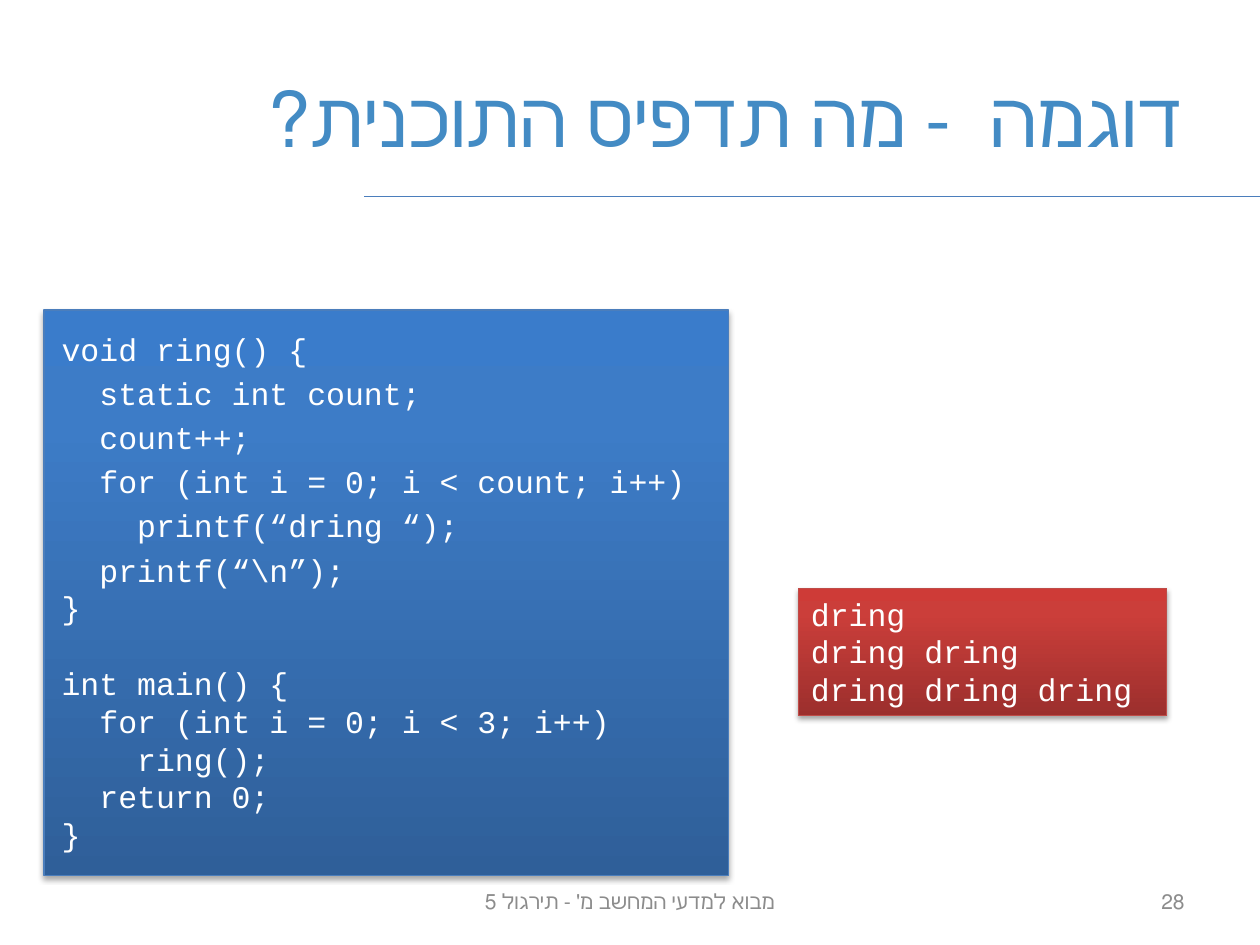
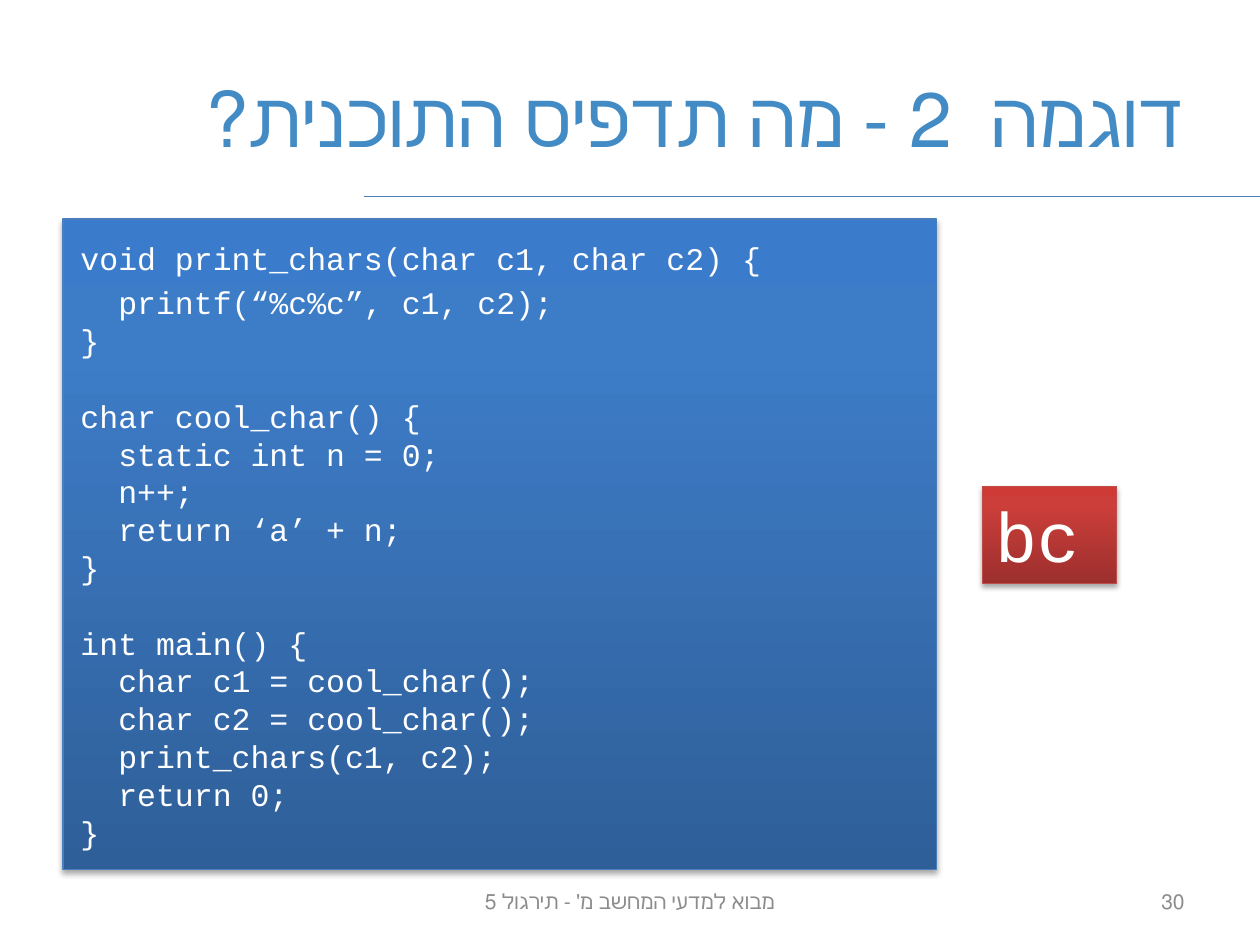
from dataclasses import dataclass

from lxml import etree
from pptx import Presentation
from pptx.dml.color import RGBColor
from pptx.enum.shapes import MSO_CONNECTOR, MSO_SHAPE
from pptx.enum.text import MSO_ANCHOR, MSO_AUTO_SIZE, PP_ALIGN
from pptx.oxml import parse_xml
from pptx.oxml.ns import nsdecls, qn
from pptx.slide import Slide
from pptx.text.text import TextFrame
from pptx.util import Pt

TITLE_COLOR = "438BC4"
FOOTER_COLOR = "8C8C8C"
RULE_COLOR = "4B7EBC"
TEXT_COLOR = "FFFFFF"
CODE_FONT = "Courier New"
CODE_SIZE = 18
INDENT_PER_SPACE = 0.6 * CODE_SIZE
LINE_GAP = 0.2 * CODE_SIZE
BLOCK_GAP = 1.2 * CODE_SIZE
FOOTER = "מבוא למדעי המחשב מ' - תירגול 5"


@dataclass(frozen=True)
class Box:
    left: float
    top: float
    width: float
    height: float

    def lengths(self) -> tuple[Pt, ...]:
        return Pt(self.left), Pt(self.top), Pt(self.width), Pt(self.height)


@dataclass(frozen=True)
class PanelStyle:
    bottom: str
    middle: str
    top: str
    outline: str


@dataclass(frozen=True)
class HebrewStyle:
    box: Box
    font: str
    size: float
    color: str
    alignment: PP_ALIGN


@dataclass(frozen=True)
class Example:
    title: str
    number: int
    code: str
    code_box: Box
    output: str
    output_box: Box
    output_size: float


CODE_PANEL = PanelStyle("2F5F99", "3D7CC7", "3A7CCB", RULE_COLOR)
OUTPUT_PANEL = PanelStyle("9C2F2D", "CB3E3A", "CE3B37", "BF4C48")
TITLE_STYLE = HebrewStyle(Box(36, 21.6, 648, 90), "Arial", 44, TITLE_COLOR, PP_ALIGN.RIGHT)
FOOTER_STYLE = HebrewStyle(Box(246, 500.5, 228, 28.75), "Calibri", 12, FOOTER_COLOR, PP_ALIGN.CENTER)
NUMBER_STYLE = HebrewStyle(Box(516, 500.5, 168, 28.75), "Calibri", 12, FOOTER_COLOR, PP_ALIGN.RIGHT)

RING_CODE = r"""void ring() {
  static int count;
  count++;
  for (int i = 0; i < count; i++)
    printf(“dring “);
  printf(“\n”);
}

int main() {
  for (int i = 0; i < 3; i++)
    ring();
  return 0;
}"""

CHARS_CODE = """void print_chars(char c1, char c2) {
  printf(“%c%c”, c1, c2);
}

char cool_char() {
  static int n = 0;
  n++;
  return ‘a’ + n;
}

int main() {
  char c1 = cool_char();
  char c2 = cool_char();
  print_chars(c1, c2);
  return 0;
}"""

EXAMPLES = [
    Example(
        "דוגמה  - מה תדפיס התוכנית?", 28,
        RING_CODE, Box(25.2, 177.1, 391, 323.3),
        "dring\ndring dring\ndring dring dring", Box(456.3, 336.2, 210.5, 72.7), 18,
    ),
    Example(
        "דוגמה  2 - מה תדפיס התוכנית?", 30,
        CHARS_CODE, Box(36, 125.2, 499, 371.5),
        "bc", Box(561.6, 277.9, 76.5, 55.7), 40,
    ),
]


def rgb(color: str) -> RGBColor:
    return RGBColor.from_string(color)


def add_hebrew(slide: Slide, text: str, style: HebrewStyle) -> None:
    """Add one right-to-left paragraph, centred vertically in its box."""
    frame = slide.shapes.add_textbox(*style.box.lengths()).text_frame
    frame.word_wrap = True
    frame.vertical_anchor = MSO_ANCHOR.MIDDLE
    paragraph = frame.paragraphs[0]
    paragraph.text = text
    paragraph.alignment = style.alignment
    paragraph._p.get_or_add_pPr().set("rtl", "1")
    paragraph.font.name = style.font
    paragraph.font.size = Pt(style.size)
    paragraph.font.color.rgb = rgb(style.color)


def add_title_rule(slide: Slide) -> None:
    rule = slide.shapes.add_connector(
        MSO_CONNECTOR.STRAIGHT, Pt(720), Pt(112.3), Pt(208), Pt(112.3))
    rule.line.color.rgb = rgb(RULE_COLOR)
    rule.line.width = Pt(0.75)
    etree.SubElement(rule._element.spPr, qn("a:effectLst"))


def add_panel(slide: Slide, box: Box, style: PanelStyle) -> TextFrame:
    """Add a rectangle with a vertical gradient and a soft shadow; return its text frame."""
    shape = slide.shapes.add_shape(MSO_SHAPE.RECTANGLE, *box.lengths())
    stops = "".join(
        f'<a:gs pos="{position * 1000}"><a:srgbClr val="{color}"/></a:gs>'
        for position, color in ((0, style.bottom), (80, style.middle), (100, style.top)))
    properties = shape._element.spPr
    properties.find(qn("a:prstGeom")).addnext(parse_xml(
        f'<a:gradFill {nsdecls("a")} rotWithShape="1"><a:gsLst>{stops}</a:gsLst>'
        '<a:lin ang="16200000" scaled="0"/></a:gradFill>'))
    shape.line.color.rgb = rgb(style.outline)
    shape.line.width = Pt(0.75)
    shape.shadow.inherit = False
    properties.find(qn("a:effectLst")).append(parse_xml(
        f'<a:outerShdw {nsdecls("a")} blurRad="{Pt(3.1)}" dist="{Pt(1.8)}" dir="5400000"'
        ' rotWithShape="0"><a:srgbClr val="000000"><a:alpha val="35000"/></a:srgbClr>'
        '</a:outerShdw>'))
    frame = shape.text_frame
    frame.word_wrap = True
    frame.vertical_anchor = MSO_ANCHOR.TOP
    frame.auto_size = MSO_AUTO_SIZE.SHAPE_TO_FIT_TEXT
    return frame


def write_lines(frame: TextFrame, text: str, size: float) -> None:
    """Write monospaced lines, turning leading spaces into indents and blank lines into gaps.

    The indented lines of the first block are set slightly apart.
    """
    paragraph = frame.paragraphs[0]
    for block_index, block in enumerate(text.split("\n\n")):
        for line_index, line in enumerate(block.split("\n")):
            if block_index or line_index:
                paragraph = frame.add_paragraph()
            content = line.lstrip()
            indent = len(line) - len(content)
            paragraph.text = content
            paragraph.alignment = PP_ALIGN.LEFT
            paragraph.font.name = CODE_FONT
            paragraph.font.size = Pt(size)
            paragraph.font.color.rgb = rgb(TEXT_COLOR)
            if indent:
                paragraph._p.get_or_add_pPr().set("marL", str(Pt(indent * INDENT_PER_SPACE)))
            if block_index and not line_index:
                paragraph.space_before = Pt(BLOCK_GAP)
            elif indent and not block_index:
                paragraph.space_before = Pt(LINE_GAP)


def add_example(slide: Slide, example: Example) -> None:
    add_title_rule(slide)
    add_hebrew(slide, example.title, TITLE_STYLE)
    add_hebrew(slide, FOOTER, FOOTER_STYLE)
    add_hebrew(slide, str(example.number), NUMBER_STYLE)

    code_frame = add_panel(slide, example.code_box, CODE_PANEL)
    code_frame.margin_left = code_frame.margin_right = Pt(10)
    code_frame.margin_top = Pt(11.5)
    code_frame.margin_bottom = Pt(6.5)
    write_lines(code_frame, example.code, CODE_SIZE)

    output_frame = add_panel(slide, example.output_box, OUTPUT_PANEL)
    write_lines(output_frame, example.output, example.output_size)


def main() -> None:
    presentation = Presentation()
    presentation.slide_width = Pt(720)
    presentation.slide_height = Pt(540)
    blank_layout = presentation.slide_layouts[6]
    for example in EXAMPLES:
        add_example(presentation.slides.add_slide(blank_layout), example)
    presentation.save("out.pptx")


if __name__ == "__main__":
    main()
